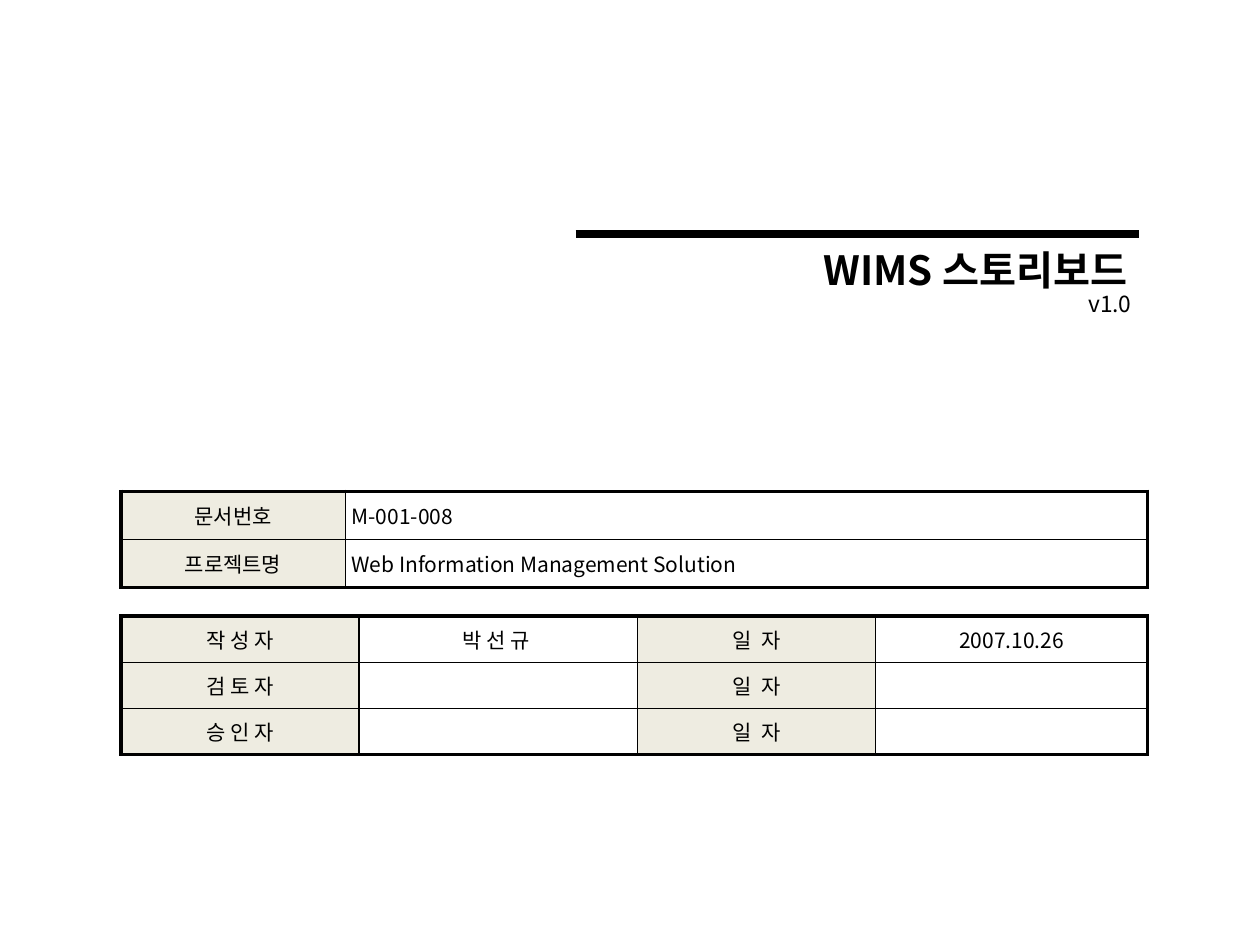
import lxml.etree
import pptx
import pptx.dml.color
import pptx.enum.shapes
import pptx.enum.text
import pptx.oxml.ns
import pptx.util

Pt = pptx.util.Pt
qn = pptx.oxml.ns.qn
ALIGN = pptx.enum.text.PP_ALIGN
ANCHOR = pptx.enum.text.MSO_ANCHOR


def color(value):
    return pptx.dml.color.RGBColor.from_string(value)


class StoryboardCover:
    font = "Noto Sans CJK KR"
    ink = "000000"
    label_fill = "EEECE1"
    outer_border = 2.25
    inner_border = 1
    body_size = 12

    def __init__(self, slide):
        self.slide = slide

    def format_paragraph(self, paragraph, size, align, bold=False):
        paragraph.alignment = align
        paragraph.font.size = Pt(size)
        paragraph.font.bold = bold
        paragraph.font.color.rgb = color(self.ink)
        paragraph.font.name = self.font
        defaults = paragraph._p.pPr.find(qn("a:defRPr"))
        lxml.etree.SubElement(defaults, qn("a:ea"), typeface=self.font)

    def heading(self, shape, text, box, size, bold=False):
        shape.left, shape.top, shape.width, shape.height = map(Pt, box)
        frame = shape.text_frame
        frame.text = text
        frame.word_wrap = True
        frame.auto_size = pptx.enum.text.MSO_AUTO_SIZE.NONE
        frame.vertical_anchor = ANCHOR.TOP
        frame.margin_left = frame.margin_right = Pt(4.3)
        frame.margin_top = frame.margin_bottom = Pt(2.15)
        paragraph = frame.paragraphs[0]
        paragraph.line_spacing = 0.87
        paragraph.space_before = Pt(0)
        self.format_paragraph(paragraph, size, ALIGN.RIGHT, bold)

    def title(self, text, box, size):
        self.heading(self.slide.shapes.title, text, box, size, bold=True)

    def text(self, text, box, size):
        self.heading(self.slide.shapes.add_textbox(*map(Pt, box)), text, box, size)

    def rule(self, left, right, y, width):
        line = self.slide.shapes.add_connector(
            pptx.enum.shapes.MSO_CONNECTOR.STRAIGHT, Pt(left), Pt(y), Pt(right), Pt(y)
        )
        line.line.color.rgb = color(self.ink)
        line.line.width = Pt(width)
        lxml.etree.SubElement(line._element.spPr, qn("a:effectLst"))

    def border(self, cell, side, width):
        properties = cell._tc.get_or_add_tcPr()
        edge = lxml.etree.SubElement(properties, qn(f"a:ln{side}"), w=str(Pt(width)))
        fill = lxml.etree.SubElement(edge, qn("a:solidFill"))
        lxml.etree.SubElement(fill, qn("a:srgbClr"), val=self.ink)

    def cell(self, cell, text, align, is_label, outer_sides):
        cell.text = text
        cell.vertical_anchor = ANCHOR.MIDDLE
        cell.margin_left = cell.margin_right = Pt(3.6)
        cell.margin_top = cell.margin_bottom = Pt(2.15)
        paragraph = cell.text_frame.paragraphs[0]
        self.format_paragraph(paragraph, self.body_size, align)
        if not text:
            lxml.etree.SubElement(
                paragraph._p, qn("a:endParaRPr"), sz=str(self.body_size * 100)
            )
        for side in "LRTB":
            width = self.outer_border if side in outer_sides else self.inner_border
            self.border(cell, side, width)
        if is_label:
            cell.fill.solid()
            cell.fill.fore_color.rgb = color(self.label_fill)
        else:
            cell.fill.background()

    def table(self, rows, left, top, widths, row_height, value_align):
        table = self.slide.shapes.add_table(
            len(rows), len(widths), Pt(left), Pt(top),
            Pt(sum(widths)), Pt(row_height * len(rows)),
        ).table
        table.first_row = table.horz_banding = False
        for column, width in zip(table.columns, widths):
            column.width = Pt(width)
        for r, row in enumerate(rows):
            table.rows[r].height = Pt(row_height)
            for c, text in enumerate(row):
                is_label = c % 2 == 0
                edges = {
                    "L": c == 0, "R": c == len(widths) - 1,
                    "T": r == 0, "B": r == len(rows) - 1,
                }
                outer_sides = [side for side, outer in edges.items() if outer]
                align = ALIGN.CENTER if is_label else value_align
                self.cell(table.cell(r, c), text, align, is_label, outer_sides)


def main():
    presentation = pptx.Presentation()
    presentation.slide_width, presentation.slide_height = Pt(720), Pt(540)
    cover = StoryboardCover(
        presentation.slides.add_slide(presentation.slide_layouts[5])
    )

    cover.rule(left=329, right=650.9, y=133.9, width=4.5)
    cover.text("v1.0", (351.4, 165.6, 299.5, 20.2), size=13)
    cover.title("WIMS 스토리보드", (307.4, 141.8, 341.3, 33.1), size=23)

    document = [
        ("문서번호", "M-001-008"),
        ("프로젝트명", "Web Information Management Solution"),
    ]
    approvals = [
        ("작 성 자", "박 선 규 ", "일  자", "2007.10.26"),
        ("검 토 자", "", "일  자", ""),
        ("승 인 자", "", "일  자", ""),
    ]
    table_left = 69.1
    cover.table(document, table_left, 280.8, (128.2, 458.6), 27.4, ALIGN.LEFT)
    cover.table(
        approvals, table_left, 352.1, (136.1, 159.1, 136.1, 155.5), 26.4, ALIGN.CENTER
    )

    presentation.save("out.pptx")


if __name__ == "__main__":
    main()
